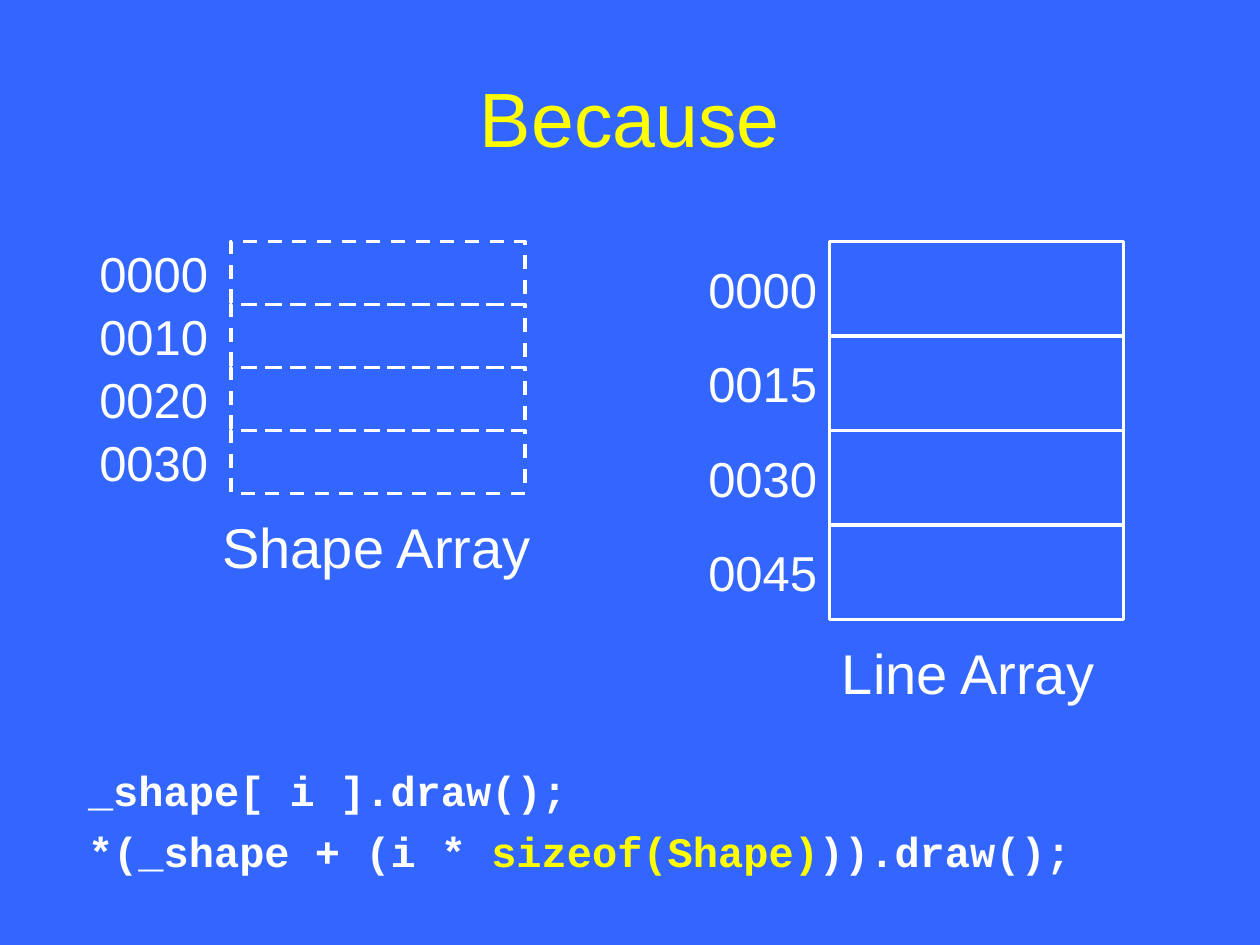
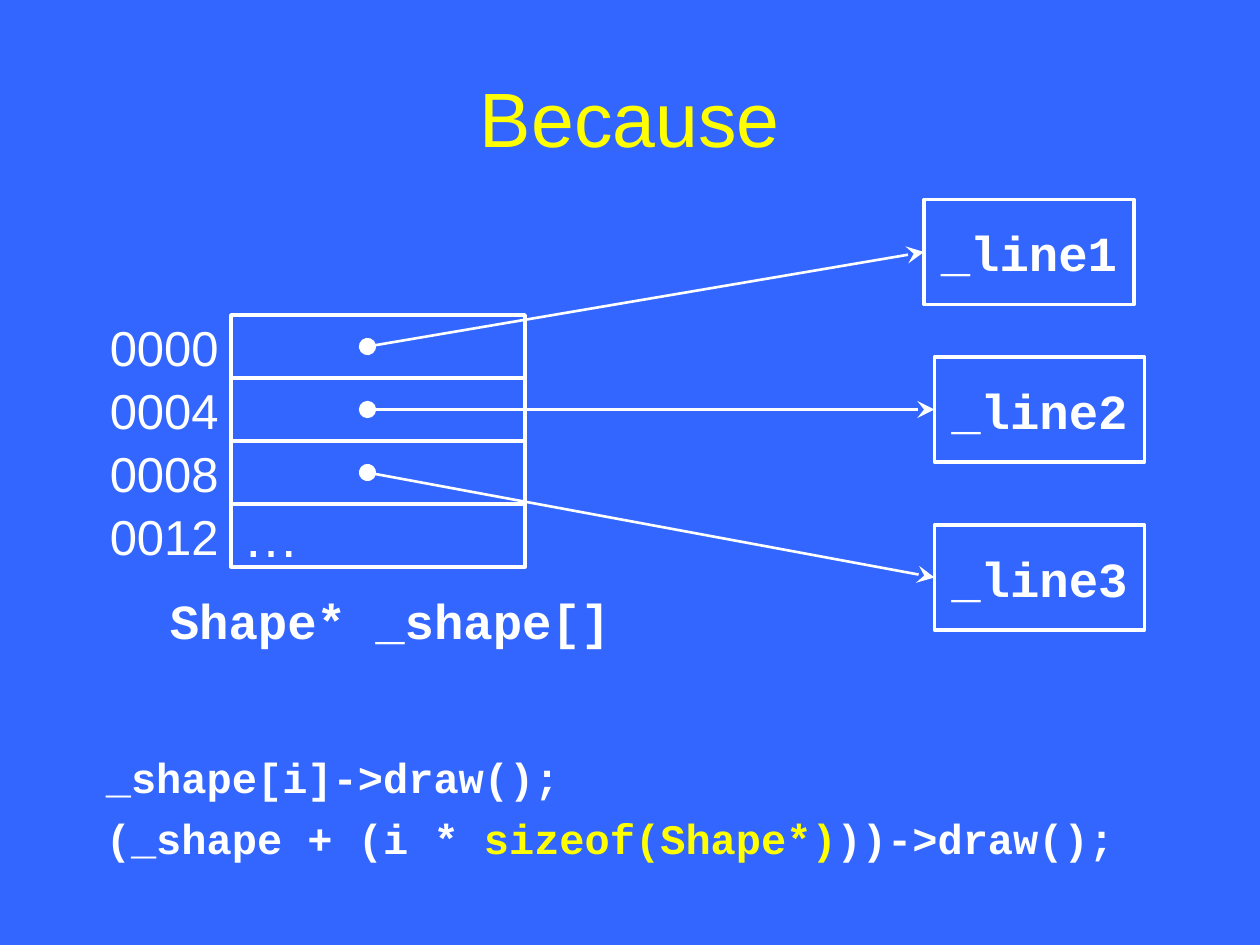
from lxml import etree
from pptx import Presentation
from pptx.dml.color import RGBColor
from pptx.enum.dml import MSO_LINE
from pptx.enum.shapes import MSO_CONNECTOR, MSO_SHAPE
from pptx.enum.text import MSO_ANCHOR, MSO_AUTO_SIZE, PP_ALIGN
from pptx.oxml.ns import qn
from pptx.util import Emu, Pt

RECTANGLE = MSO_SHAPE.RECTANGLE
STRAIGHT = MSO_CONNECTOR.STRAIGHT
DASH = MSO_LINE.DASH
LEFT, CENTER, RIGHT = PP_ALIGN.LEFT, PP_ALIGN.CENTER, PP_ALIGN.RIGHT
MIDDLE, TOP = MSO_ANCHOR.MIDDLE, MSO_ANCHOR.TOP

EMU_PER_PX = 7620  # 120 px to the inch
BLUE, WHITE, YELLOW = "3366FF", "FFFFFF", "FFFF00"
SANS, MONO = "Arial", "Courier New"
CELL_WIDTH = 280


def px(length):
    return Emu(length * EMU_PER_PX)


def color(hex_code):
    return RGBColor.from_string(hex_code)


class SlideBuilder:
    """Holds the deck, its style and the slide being drawn."""

    def __init__(self):
        self.deck = Presentation()
        self.deck.slide_width = px(1200)
        self.deck.slide_height = px(900)
        self.page = None

    def new_page(self, title):
        self.page = self.deck.slides.add_slide(self.deck.slide_layouts[6])
        fill = self.page.background.fill
        fill.solid()
        fill.fore_color.rgb = color(BLUE)
        self.text(title, 60, 36, 1080, 150, size=44, align=CENTER, ink=YELLOW)

    def style_span(self, span, size, font, ink):
        span.font.size = Pt(size)
        span.font.name = font
        span.font.bold = font == MONO
        span.font.color.rgb = color(ink)

    def label(self, box, words, size, font=SANS, align=LEFT, ink=WHITE):
        """Put one line of text, centred vertically, into a box or shape."""
        frame = box.text_frame
        frame.text = words
        frame.word_wrap = False
        frame.auto_size = MSO_AUTO_SIZE.NONE
        frame.vertical_anchor = MIDDLE
        para = frame.paragraphs[0]
        para.alignment = align
        self.style_span(para.runs[0], size, font, ink)

    def text(self, words, left, top, width, height, **style):
        box = self.page.shapes.add_textbox(px(left), px(top), px(width), px(height))
        self.label(box, words, **style)

    def rectangle(self, left, top, width, height, dash=None):
        box = self.page.shapes.add_shape(
            RECTANGLE, px(left), px(top), px(width), px(height))
        box.shadow.inherit = False
        box.fill.background()
        box.line.color.rgb = color(WHITE)
        box.line.width = Pt(2)
        if dash:
            box.line.dash_style = dash
        return box

    def memory(self, addresses, left, top, row_height, label_left, label_width, dash=None):
        """Stack one cell per address, with the address to its left; return the cells."""
        cells = []
        for row, address in enumerate(addresses):
            cell_top = top + row * row_height
            cells.append(self.rectangle(left, cell_top, CELL_WIDTH, row_height, dash))
            self.text(address, label_left, cell_top, label_width, row_height,
                      size=28, align=RIGHT)
        return cells

    def pointer(self, start, end):
        """Draw a line with a dot at its start and an arrowhead at its end."""
        line = self.page.shapes.add_connector(STRAIGHT, *map(px, start + end))
        line.line.color.rgb = color(WHITE)
        line.line.width = Pt(1.5)
        outline = line.line._get_or_add_ln()
        for tag, kind in (("a:headEnd", "oval"), ("a:tailEnd", "stealth")):
            etree.SubElement(outline, qn(tag), type=kind, w="lg", len="lg")
        etree.SubElement(line._element.spPr, qn("a:effectLst"))

    def code(self, lines, left, top, width):
        """Add lines of code, each a list of (words, ink) spans."""
        box = self.page.shapes.add_textbox(px(left), px(top), px(width), px(109))
        frame = box.text_frame
        frame.word_wrap = True
        frame.auto_size = MSO_AUTO_SIZE.NONE
        frame.vertical_anchor = TOP
        for number, spans in enumerate(lines):
            para = frame.add_paragraph() if number else frame.paragraphs[0]
            if number:
                para.space_before = Pt(6)
            for words, ink in spans:
                span = para.add_run()
                span.text = words
                self.style_span(span, 24, MONO, ink)


def object_arrays(builder):
    builder.new_page("Because")
    builder.memory(["0000", "0010", "0020", "0030"], 220, 230, 60, 50, 160, DASH)
    builder.memory(["0000", "0015", "0030", "0045"], 790, 230, 90, 640, 150)
    builder.text("Line Array", 790, 610, CELL_WIDTH, 60, size=32)
    builder.text("Shape Array", 200, 490, 330, 60, size=32)
    builder.code([
        [("_shape[ i ].draw();", WHITE)],
        [("*(_shape + (i * ", WHITE), ("sizeof(Shape)", YELLOW), (")).draw();", WHITE)],
    ], 72, 722, 1057)


def pointer_array(builder):
    builder.new_page("Because")
    top, row_height = 300, 60
    cells = builder.memory(["0000", "0004", "0008", "0012"], 220, top, row_height, 60, 160)
    builder.label(cells[-1], "…", size=32)
    builder.text("Shape* _shape[]", 150, 560, 270, 60, size=28, font=MONO)

    targets = [("_line1", 880, 190), ("_line2", 890, 340), ("_line3", 890, 500)]
    width, height = 200, 100
    for row, (name, left, target_top) in enumerate(targets):
        target = builder.rectangle(left, target_top, width, height)
        builder.label(target, name, size=28, font=MONO, align=CENTER)
        cell_middle = top + row * row_height + row_height // 2
        builder.pointer((350, cell_middle), (left, target_top + height // 2))

    builder.code([
        [("_shape[i]->draw();", WHITE)],
        [("(_shape + (i * ", WHITE), ("sizeof(Shape*)", YELLOW), ("))->draw();", WHITE)],
    ], 89, 710, 1001)


def main():
    builder = SlideBuilder()
    object_arrays(builder)
    pointer_array(builder)
    builder.deck.save("out.pptx")


if __name__ == "__main__":
    main()
